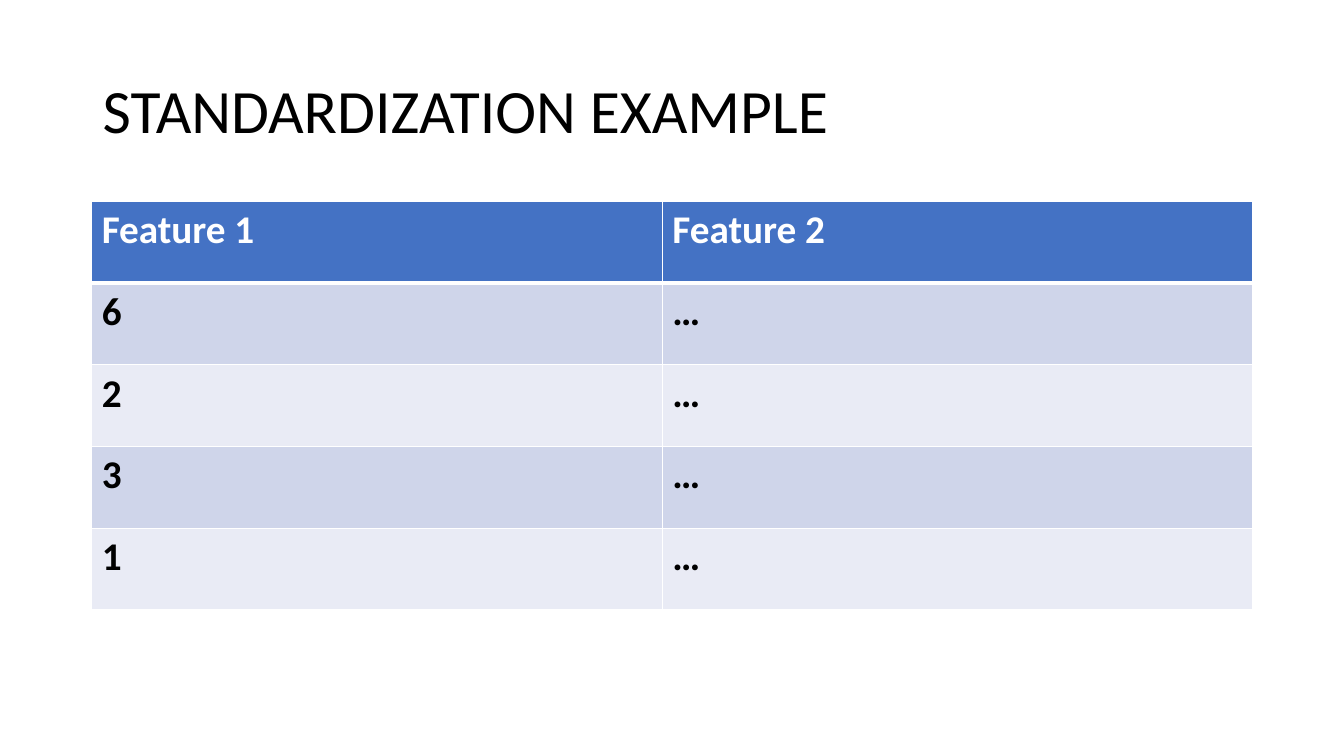
import lxml.etree
import pptx
import pptx.dml.color
import pptx.enum.text
import pptx.oxml.ns
import pptx.util

Inches = pptx.util.Inches
RGBColor = pptx.dml.color.RGBColor
qn = pptx.oxml.ns.qn

BLACK = RGBColor(0x00, 0x00, 0x00)
WHITE = RGBColor(0xFF, 0xFF, 0xFF)
HEADER = RGBColor(0x44, 0x72, 0xC4)
BANDS = [RGBColor(0xE9, 0xEB, 0xF5), RGBColor(0xCF, 0xD5, 0xEA)]

ROWS = [("Feature 1", "Feature 2"), ("6", "…"), ("2", "…"), ("3", "…"), ("1", "…")]
COL_WIDTHS = [5.66, 5.85]
ROW_HEIGHT = 0.81


def write(tf, text, color, fmt):
    p = tf.paragraphs[0]
    r = p.add_run()
    r.text = text
    r.font.color.rgb = color
    for name, value in fmt.items():
        setattr(r.font, name, value)
    return p


def add_border(cell, side, points):
    ln = lxml.etree.SubElement(cell._tc.get_or_add_tcPr(), qn("a:" + side),
                               w=str(pptx.util.Pt(points)))
    fill = lxml.etree.SubElement(ln, qn("a:solidFill"))
    lxml.etree.SubElement(fill, qn("a:srgbClr"), val=str(WHITE))


prs = pptx.Presentation()
prs.slide_width = Inches(13.33)
prs.slide_height = Inches(7.5)
s = prs.slides.add_slide(prs.slide_layouts[6])

title = s.shapes.add_textbox(Inches(0.92), Inches(0.4), Inches(11.5), Inches(1.45))
tf = title.text_frame
tf.word_wrap = True
tf.vertical_anchor = pptx.enum.text.MSO_ANCHOR.MIDDLE
p = write(tf, "STANDARDIZATION EXAMPLE", BLACK,
          {"name": "Calibri", "size": pptx.util.Pt(44)})
p.line_spacing = 0.9

table = s.shapes.add_table(len(ROWS), len(COL_WIDTHS), Inches(0.91), Inches(2),
                           Inches(sum(COL_WIDTHS)), Inches(ROW_HEIGHT * len(ROWS))).table
for col, width in zip(table.columns, COL_WIDTHS):
    col.width = Inches(width)

cell_format = {"name": "Calibri", "size": pptx.util.Pt(28), "bold": True}
for i, values in enumerate(ROWS):
    table.rows[i].height = Inches(ROW_HEIGHT)
    for j, text in enumerate(values):
        cell = table.cell(i, j)
        widths = {"lnL": 1, "lnR": 1, "lnT": 3 if i == 1 else 1, "lnB": 3 if i == 0 else 1}
        for side, points in widths.items():
            add_border(cell, side, points)
        cell.fill.solid()
        cell.fill.fore_color.rgb = HEADER if i == 0 else BANDS[i % 2]
        write(cell.text_frame, text, WHITE if i == 0 else BLACK, cell_format)

prs.save("out.pptx")
